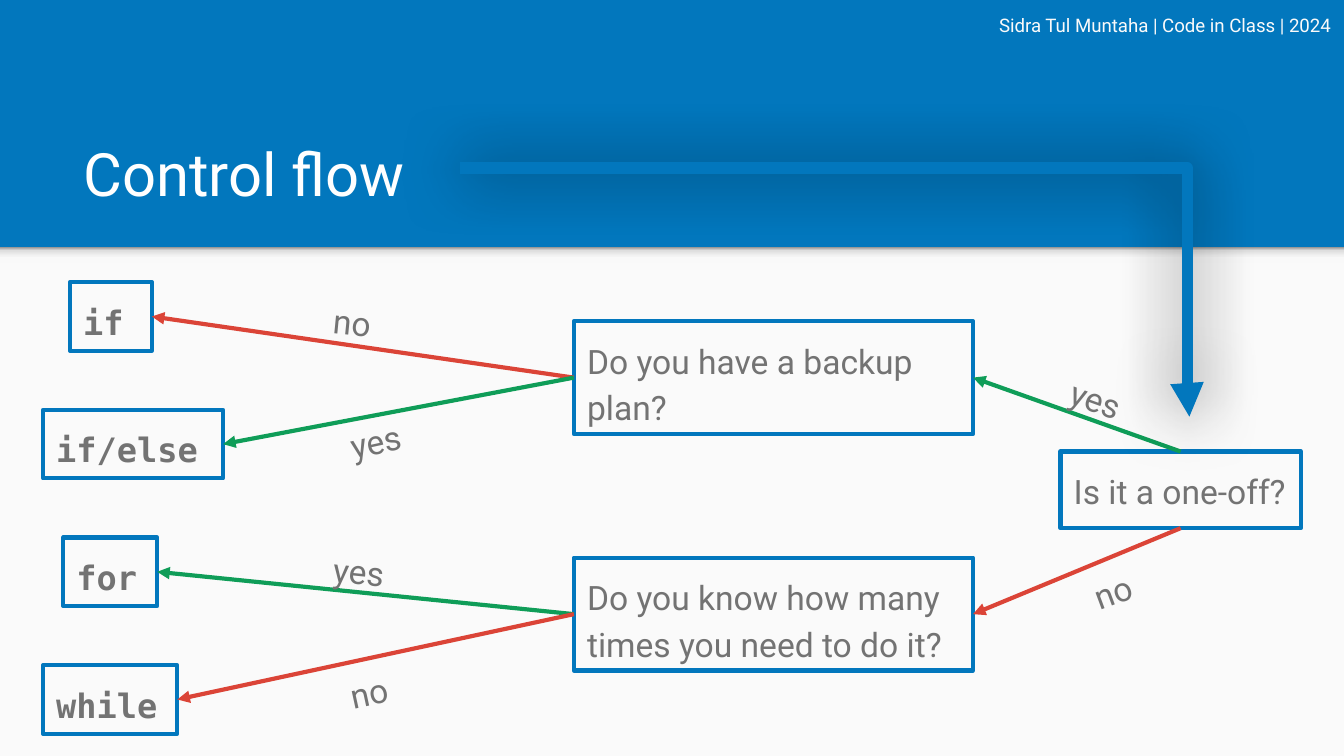
from lxml.etree import SubElement
from pptx import Presentation
from pptx.dml.color import RGBColor
from pptx.enum.shapes import MSO_CONNECTOR, MSO_SHAPE
from pptx.enum.text import MSO_ANCHOR, MSO_AUTO_SIZE, PP_ALIGN
from pptx.oxml.ns import qn
from pptx.util import Inches, Pt

BLUE = RGBColor(0x02, 0x77, 0xBD)
PALE = RGBColor(0xFA, 0xFA, 0xFA)
WHITE = RGBColor(0xFF, 0xFF, 0xFF)
GRAY = RGBColor(0x73, 0x73, 0x73)
RED = RGBColor(0xDB, 0x44, 0x37)
GREEN = RGBColor(0x0F, 0x9D, 0x58)
SANS, MONO = "Roboto", "DejaVu Sans Mono"

deck = Presentation()
deck.slide_width, deck.slide_height = Inches(10), Inches(5.625)
COL, ROW = deck.slide_width / 100, deck.slide_height / 56.25
slide = deck.slides.add_slide(deck.slide_layouts[5])
slide.background.fill.solid()
slide.background.fill.fore_color.rgb = BLUE
shapes = slide.shapes


def write(shape, text, size, color, face=SANS, bold=False, space=1.15,
          align=PP_ALIGN.LEFT, anchor=MSO_ANCHOR.TOP):
    frame = shape.text_frame
    frame.text = text
    line = frame.paragraphs[0]
    pad = Inches(0.1)
    for part, form in (
        (frame, {"word_wrap": True, "auto_size": MSO_AUTO_SIZE.NONE,
                 "vertical_anchor": anchor, "margin_left": pad,
                 "margin_right": pad, "margin_top": pad, "margin_bottom": pad}),
        (line, {"alignment": align, "line_spacing": space}),
        (line.runs[0].font, {"name": face, "size": Pt(size), "bold": bold}),
    ):
        for key, value in form.items():
            setattr(part, key, value)
    line.runs[0].font.color.rgb = color


def link(kind, ends, color, width):
    x1, y1, x2, y2 = ends
    wire = shapes.add_connector(kind, int(x1 * COL), int(y1 * ROW),
                                int(x2 * COL), int(y2 * ROW))
    wire.line.color.rgb = color
    wire.line.width = Pt(width)
    prop = wire._element.spPr
    SubElement(prop.find(qn("a:ln")), qn("a:tailEnd"), type="triangle")
    SubElement(prop, qn("a:effectLst"))
    return wire


for top, high in ((18.4, 37.85), (18.4, 1.2)):
    band = shapes.add_shape(MSO_SHAPE.RECTANGLE, 0, int(top * ROW),
                            deck.slide_width, int(high * ROW))
    band.fill.solid()
    band.fill.fore_color.rgb = PALE
    band.line.fill.background()
    band.shadow.inherit = False

prop = band._element.spPr
fade = SubElement(prop, qn("a:gradFill"))
stops = SubElement(fade, qn("a:gsLst"))
for pos, tone in ((0, "F9F9F9"), (36, "F9F9F9"), (80, "DEDEDE"), (100, "999999")):
    stop = SubElement(stops, qn("a:gs"), pos=str(pos * 1000))
    SubElement(stop, qn("a:srgbClr"), val=tone)
SubElement(fade, qn("a:lin"), ang=str(270 * 60000), scaled="0")
prop.replace(prop.find(qn("a:solidFill")), fade)

title = shapes.title
for key, value in {"left": 5.2 * COL, "top": 8.1 * ROW,
                   "width": 89.9 * COL, "height": 8.4 * ROW}.items():
    setattr(title, key, int(value))
write(title, "Control flow", 32, WHITE, space=1.0, anchor=MSO_ANCHOR.BOTTOM)

boxes = {}
for name, text, left, top, wide, high, face in (
    ("once", "Is it a one-off?", 78.9, 33.6, 17.9, 5.7, SANS),
    ("plan", "Do you have a backup plan?", 42.7, 23.9, 29.7, 8.4, SANS),
    ("count", "Do you know how many times you need to do it?",
     42.7, 41.5, 29.7, 8.4, SANS),
    ("if", "if", 5.2, 21, 6.1, 5.1, MONO),
    ("else", "if/else", 3.2, 30.5, 13.4, 5.1, MONO),
    ("for", "for", 4.7, 40, 7, 5.1, MONO),
    ("while", "while", 3.2, 49.5, 10, 5.1, MONO),
):
    box = shapes.add_shape(MSO_SHAPE.RECTANGLE, int(left * COL), int(top * ROW),
                           int(wide * COL), int(high * ROW))
    box.fill.background()
    box.line.color.rgb = BLUE
    box.line.width = Pt(2.25)
    box.shadow.inherit = False
    write(box, text, 18, GRAY, face, bold=face == MONO)
    boxes[name] = box

TOP, LEFT, BASE, RIGHT = range(4)
for start, side, end, word, left, top, wide, turn in (
    ("once", TOP, "plan", "yes", 78.9, 26.9, 6.1, 19.9),
    ("once", BASE, "count", "no", 80.1, 40.9, 6.1, -20.3),
    ("plan", LEFT, "if", "no", 23.9, 21.1, 6.1, 5.7),
    ("plan", LEFT, "else", "yes", 24.9, 29.9, 5.9, -12.3),
    ("count", LEFT, "for", "yes", 23.9, 39.6, 6.1, 5.7),
    ("count", LEFT, "while", "no", 24.9, 48.6, 4.9, -12.3),
):
    wire = link(MSO_CONNECTOR.STRAIGHT, (0, 0, 1, 1),
                GREEN if word == "yes" else RED, 2.25)
    wire.begin_connect(boxes[start], side)
    wire.end_connect(boxes[end], RIGHT)
    label = shapes.add_textbox(int(left * COL), int(top * ROW),
                               int(wide * COL), int(4.4 * ROW))
    label.rotation = turn
    write(label, word, 18, GRAY)

entry = link(MSO_CONNECTOR.ELBOW, (34.2, 12.5, 88.5, 31), BLUE, 6)
prop = entry._element.spPr
SubElement(prop.find(qn("a:prstGeom")).find(qn("a:avLst")), qn("a:gd"),
           name="adj1", fmla="val 99700")
shade = SubElement(prop.find(qn("a:effectLst")), qn("a:outerShdw"),
                   blurRad=str(Pt(33.8)), dist=str(Pt(0.8)),
                   dir=str(90 * 60000), algn="bl", rotWithShape="0")
tint = SubElement(shade, qn("a:srgbClr"), val="000000")
SubElement(tint, qn("a:alpha"), val="81000")

credit = shapes.add_textbox(0, 0, deck.slide_width, int(2.8 * ROW))
write(credit, "Sidra Tul Muntaha | Code in Class | 2024", 10, PALE,
      space=1.0, align=PP_ALIGN.RIGHT)

deck.save("out.pptx")
